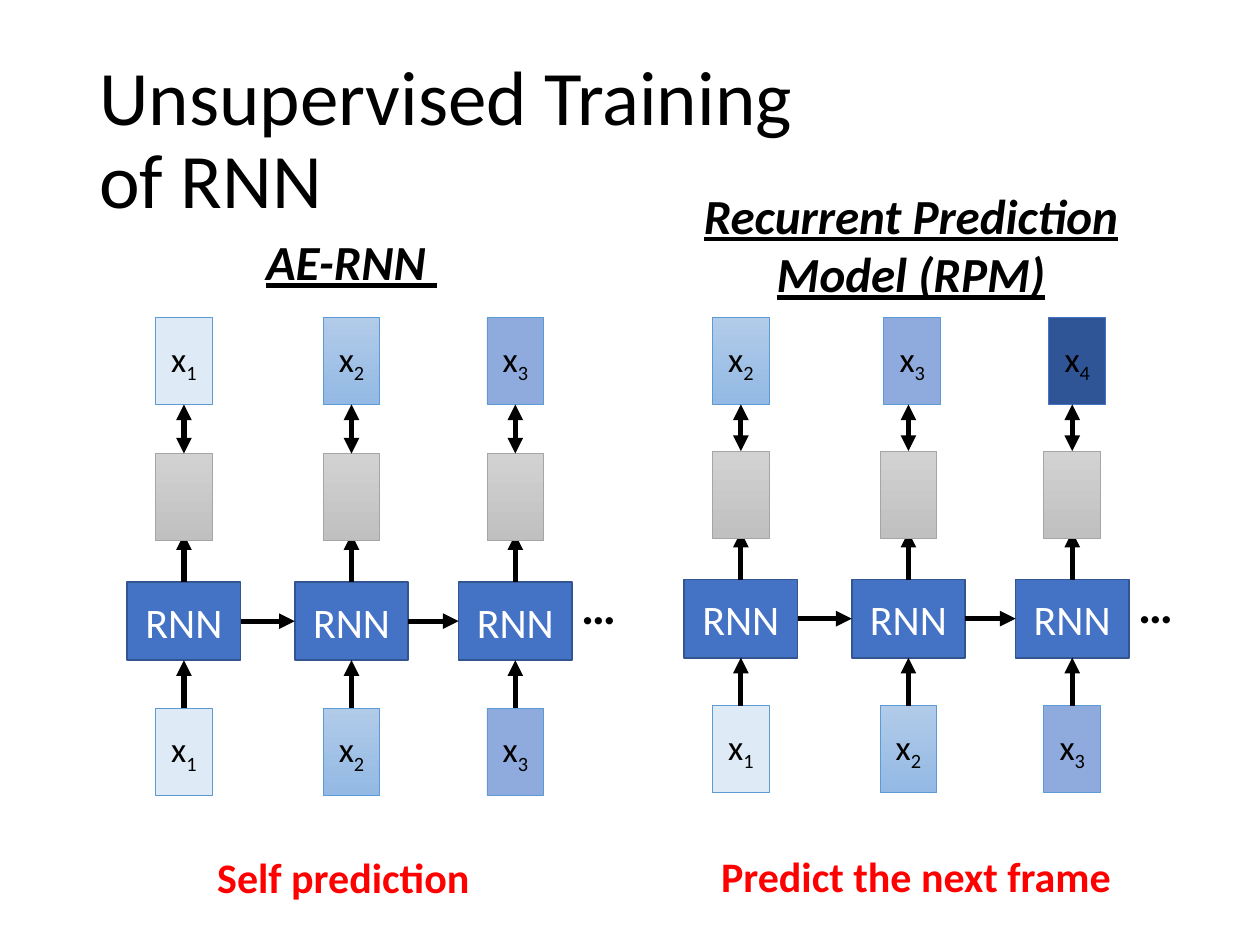
from dataclasses import dataclass
from itertools import pairwise
from typing import Optional

from lxml import etree
from pptx import Presentation
from pptx import util as u
from pptx.dml.color import RGBColor
from pptx.enum import shapes, text
from pptx.oxml.ns import qn

HUES = {
    "black": "000000", "white": "FFFFFF", "red": "FF0000",
    "cell": "4472C4", "rim": "325491", "edge": "5B9BD5", "ash": "A5A5A5",
}
FILLS = {
    "x1": ("DEEBF7",), "x2": ("B1CBE9", "93B9E4"), "x3": ("8FAADC",),
    "x4": ("2F5597",), "gray": ("D2D2D2", "C0C0C0"), "cell": (HUES["cell"],),
}
HEAD = {"size": u.Pt(28), "bold": True, "italic": True, "underline": True}
NOTE = {"size": u.Pt(24), "bold": True}
DOTS = {"size": u.Pt(28), "bold": True}
STEPS = (0, 1.33, 2.63)
WIDE, TALL = 0.45, 0.69
CELL_W, CELL_H = 0.9, 0.62
TOP_Y = 2.52


@dataclass
class Label:
    words: str
    left: float
    top: float
    width: float
    height: float
    form: dict
    hue: str = "black"


@dataclass
class Model:
    left: float
    drop: float
    outs: tuple
    shifts: tuple
    labels: tuple


MODELS = (
    Model(1.46, 0, ("x1", "x2", "x3"), (0, 0, 0), (
        Label("AE-RNN ", 1.36, 1.79, 2.86, 0.57, HEAD),
        Label("Self prediction", 1.19, 6.71, 3.07, 0.5, NOTE, "red"),
        Label("…", 4.51, 4.52, 0.48, 0.57, DOTS))),
    Model(5.88, -0.02, ("x2", "x3", "x4"), (0, 0.03, 0.04), (
        Label("Recurrent Prediction Model (RPM)", 5.23, 1.42, 4, 1.04, HEAD),
        Label("Predict the next frame", 5.47, 6.7, 3.6, 0.5, NOTE, "red"),
        Label("…", 8.93, 4.51, 0.48, 0.57, DOTS))),
)


def rgb(name: str) -> RGBColor:
    return RGBColor.from_string(HUES[name])


def style(runs, form: dict, hue: str) -> None:
    for run in runs:
        for key, value in {"name": "Calibri", **form}.items():
            setattr(run.font, key, value)
        run.font.color.rgb = rgb(hue)


def write(slide, label: Label):
    box = slide.shapes.add_textbox(
        *map(u.Inches, (label.left, label.top, label.width, label.height)))
    box.text_frame.word_wrap = True
    para = box.text_frame.paragraphs[0]
    para.text = label.words
    para.alignment = text.PP_ALIGN.CENTER
    style(para.runs, label.form, label.hue)
    return box


def block(slide, mid: float, top: float, width: float, height: float,
          paint: str, rim: str, weight: float):
    box = slide.shapes.add_shape(
        shapes.MSO_SHAPE.RECTANGLE,
        *map(u.Inches, (mid - width / 2, top, width, height)))
    box.shadow.inherit = False
    tones = [RGBColor.from_string(tone) for tone in FILLS[paint]]
    if len(tones) == 1:
        box.fill.solid()
        box.fill.fore_color.rgb = tones[0]
    else:
        box.fill.gradient()
        box.fill.gradient_angle = 270
        for stop, tone in zip(box.fill.gradient_stops, tones):
            stop.color.rgb = tone
    box.line.color.rgb = rgb(rim)
    box.line.width = u.Pt(weight)
    return box


def cell(slide, mid: float, top: float):
    box = block(slide, mid, top, CELL_W, CELL_H, "cell", "rim", 1)
    para = box.text_frame.paragraphs[0]
    para.text = "RNN"
    para.alignment = text.PP_ALIGN.CENTER
    style(para.runs, {"size": u.Pt(24)}, "white")
    return box


def frame(slide, mid: float, top: float, name: str):
    rim = "cell" if name == "x4" else "edge"
    box = block(slide, mid, top, WIDE, TALL, name, rim, 0.5)
    para = box.text_frame.paragraphs[0]
    para.alignment = text.PP_ALIGN.CENTER
    for part in name:
        para.add_run().text = part
    style(para.runs, {"size": u.Pt(20)}, "black")
    para.runs[1].font._element.set("baseline", "-25000")
    return box


def arrow(slide, start, side: int, end: Optional[tuple] = None,
          goal: Optional[tuple] = None, both: bool = False) -> None:
    x, y = map(u.Inches, goal or (0, 0))
    link = slide.shapes.add_connector(shapes.MSO_CONNECTOR.STRAIGHT, x, y, x, y)
    link.begin_connect(start, side)
    if end:
        link.end_connect(*end)
    link.line.color.rgb = rgb("black")
    link.line.width = u.Pt(3)
    line = link.line._get_or_add_ln()
    for tag in ("a:headEnd", "a:tailEnd") if both else ("a:tailEnd",):
        etree.SubElement(line, qn(tag), type="triangle")
    etree.SubElement(link._element.spPr, qn("a:effectLst"))


def draw(slide, model: Model) -> None:
    cells = []
    for count, step in enumerate(STEPS):
        mid, drop, shift = model.left + step, model.drop, model.shifts[count]
        node = cell(slide, mid, 4.62 + drop)
        feed = frame(slide, mid, 5.62 + drop, f"x{count + 1}")
        arrow(slide, feed, 0, (node, 2))
        arrow(slide, node, 0, goal=(mid, 4.24 + drop))
        gray = block(slide, mid, 3.6 + drop, WIDE, TALL, "gray", "ash", 0.5)
        out = frame(slide, mid + shift, TOP_Y, model.outs[count])
        if shift:
            arrow(slide, gray, 0, goal=(mid, TOP_Y + TALL), both=True)
        else:
            arrow(slide, gray, 0, (out, 2), both=True)
        cells.append(node)
    for prior, later in pairwise(cells):
        arrow(slide, prior, 3, (later, 1))
    for label in model.labels:
        write(slide, label)


def main() -> None:
    deck = Presentation()
    deck.slide_width, deck.slide_height = u.Inches(10), u.Inches(7.5)
    slide = deck.slides.add_slide(deck.slide_layouts[6])
    title = write(slide, Label("Unsupervised Training \vof RNN",
                               0.69, 0.4, 8.62, 1.45, {"size": u.Pt(44)}))
    title.text_frame.vertical_anchor = text.MSO_ANCHOR.MIDDLE
    para = title.text_frame.paragraphs[0]
    para.alignment = text.PP_ALIGN.LEFT
    para.line_spacing = 0.9
    for model in MODELS:
        draw(slide, model)
    deck.save("out.pptx")


if __name__ == "__main__":
    main()
